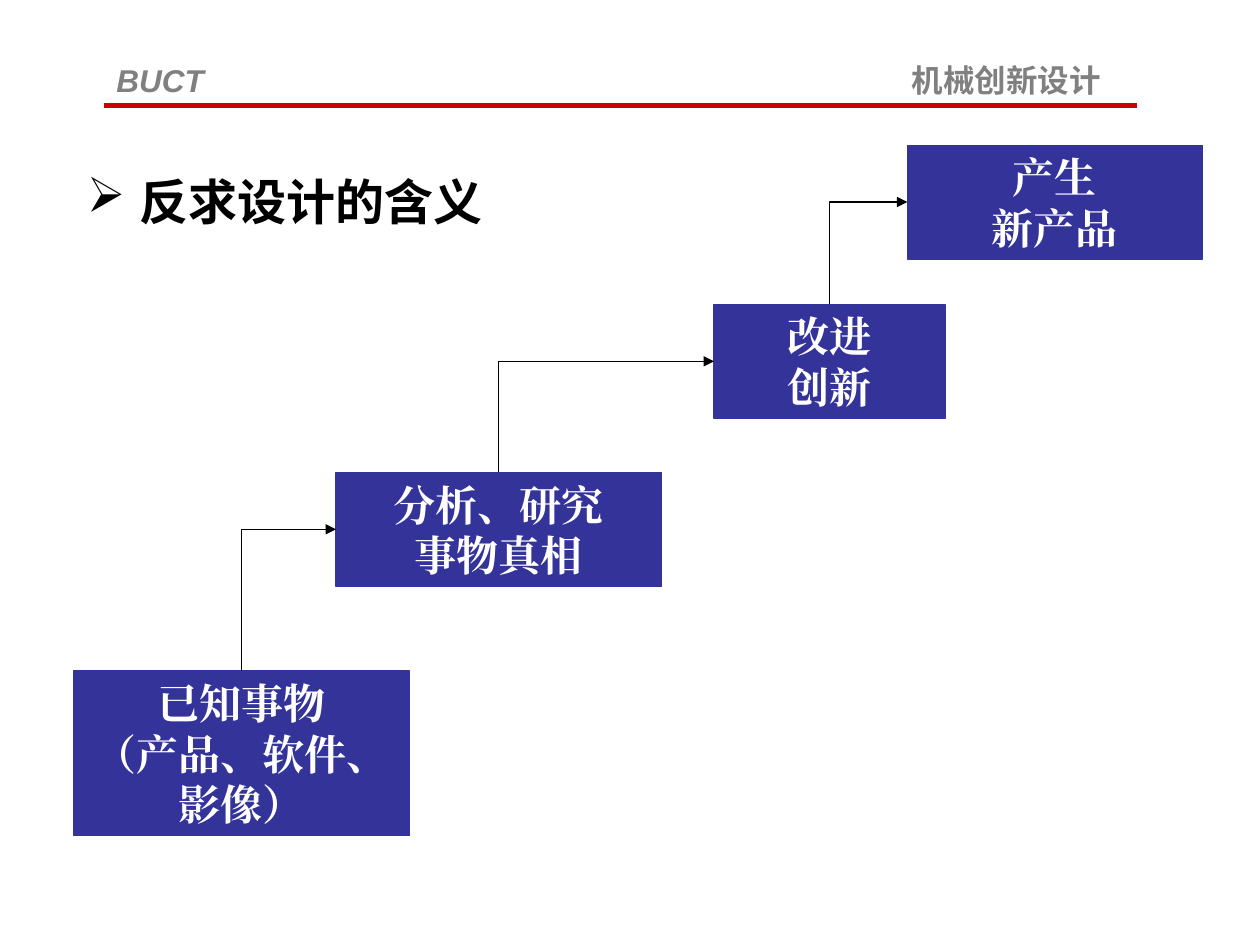
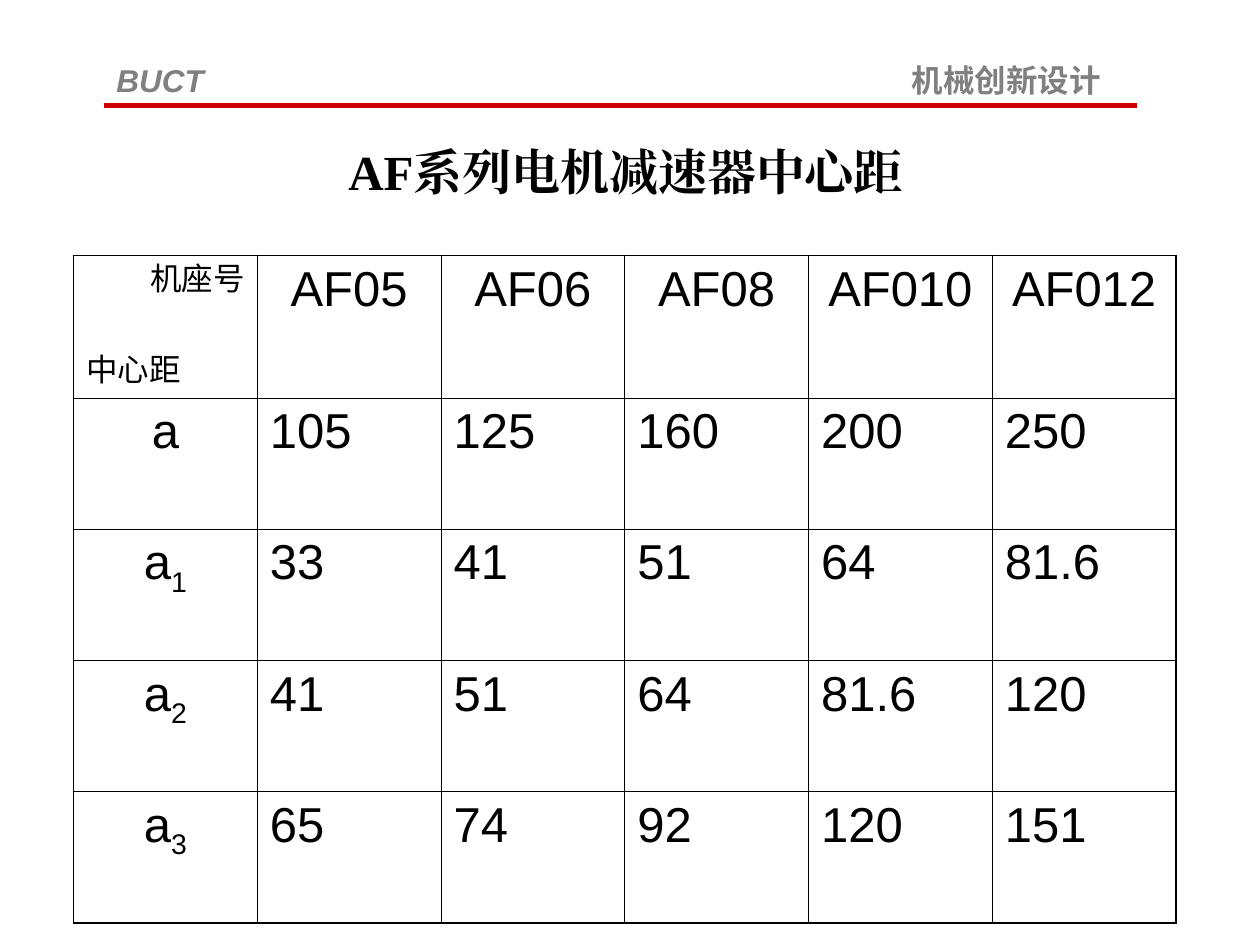
"""Build two slides on reverse design and reducer centre distances."""
from typing import NamedTuple

from lxml.etree import SubElement
from pptx import Presentation
from pptx.dml.color import RGBColor
from pptx.enum.shapes import MSO_CONNECTOR, MSO_SHAPE
from pptx.enum.text import MSO_ANCHOR, MSO_AUTO_SIZE, PP_ALIGN
from pptx.oxml.ns import qn
from pptx.util import Pt

BLACK = RGBColor(0, 0, 0)
WHITE = RGBColor(255, 255, 255)
NAVY = RGBColor(0x33, 0x33, 0x99)
RED = RGBColor(0xCC, 0, 0)
GREY = RGBColor(0x80, 0x80, 0x80)
SANS = "Arial"
SERIF = "Times New Roman"
LEFT, CENTER, RIGHT = PP_ALIGN.LEFT, PP_ALIGN.CENTER, PP_ALIGN.RIGHT
TOP, MIDDLE = MSO_ANCHOR.TOP, MSO_ANCHOR.MIDDLE
FIXED = MSO_AUTO_SIZE.NONE
RECT = MSO_SHAPE.RECTANGLE
STRAIGHT, ELBOW = MSO_CONNECTOR.STRAIGHT, MSO_CONNECTOR.ELBOW
TITLE_ONLY = 5
TAB_STOP = 454.5
THICK, THIN = 1.08, 0.45


class Step(NamedTuple):
    """One stage of the staircase, with lengths in points."""

    text: str
    left: float
    top: float
    width: float
    height: float


STEPS = [
    Step("已知事物\n（产品、软件、影像）", 42, 383.5, 192, 94),
    Step("分析、研究\n事物真相", 192, 270, 186, 65),
    Step("改进\n创新", 408, 174, 132, 65),
    Step("产生\n新产品", 518.5, 83, 168.5, 65),
]
MODELS = ["AF05", "AF06", "AF08", "AF010", "AF012"]
ROWS = [
    ("", ["105", "125", "160", "200", "250"]),
    ("1", ["33", "41", "51", "64", "81.6"]),
    ("2", ["41", "51", "64", "81.6", "120"]),
    ("3", ["65", "74", "92", "120", "151"]),
]


def style(para, face: str, size: float, color: RGBColor, bold: bool = False, align=LEFT) -> None:
    """Set the alignment and font of a paragraph."""
    para.alignment = align
    font = para.font
    font.name, font.size, font.bold = face, Pt(size), bold
    font.color.rgb = color
    SubElement(para._p.pPr.find(qn("a:defRPr")), qn("a:ea"), typeface=face)


def place(shape, left: float, top: float, width: float, height: float) -> None:
    """Move and size a shape in points."""
    shape.left, shape.top = Pt(left), Pt(top)
    shape.width, shape.height = Pt(width), Pt(height)


def frame(shape, anchor):
    """Fix the size of a text frame, wrap it and return it."""
    text = shape.text_frame
    text.word_wrap, text.auto_size = True, FIXED
    text.vertical_anchor = anchor
    return text


def draw_line(slide, kind, color: RGBColor, width: float, ends: tuple):
    """Draw a connector without a shadow."""
    line = slide.shapes.add_connector(kind, *map(Pt, ends))
    line.line.color.rgb = color
    line.line.width = Pt(width)
    SubElement(line._element.spPr, qn("a:effectLst"))
    return line


def add_head(slide) -> None:
    """Add the running head and its red rule."""
    draw_line(slide, STRAIGHT, RED, 3, (59.5, 60.25, 649.5, 60.25))
    box = slide.shapes.add_textbox(Pt(59.5), Pt(31.5), Pt(595.5), Pt(29))
    para = frame(box, TOP).paragraphs[0]
    tabs = SubElement(para._p.get_or_add_pPr(), qn("a:tabLst"))
    SubElement(tabs, qn("a:tab"), pos=str(Pt(TAB_STOP)), algn="l")
    style(para, SANS, 18, GREY, True)
    for text, slant in (("BUCT\t", True), ("机械创新设计", False)):
        run = para.add_run()
        run.text, run.font.italic = text, slant


def add_title(slide, text: str, face: str, box: tuple, align, bullet: str = "") -> None:
    """Fill the title placeholder, with a bullet if one is given."""
    title = slide.shapes.title
    place(title, *box)
    body = frame(title, TOP)
    body.text = text
    para = body.paragraphs[0]
    if bullet:
        props = para._p.get_or_add_pPr()
        props.set("marL", str(Pt(30)))
        props.set("indent", str(-Pt(30)))
        SubElement(props, qn("a:buChar"), char=bullet)
    style(para, face, 28, BLACK, True, align)


def add_step(slide, step: Step):
    """Draw one stage and return its box."""
    box = slide.shapes.add_shape(RECT, *map(Pt, step[1:]))
    box.shadow.inherit = False
    box.fill.solid()
    box.fill.fore_color.rgb = NAVY
    box.line.color.rgb = NAVY
    box.line.width = Pt(0.75)
    body = frame(box, MIDDLE)
    body.text = step.text
    for para in body.paragraphs:
        style(para, SERIF, 24, WHITE, True, CENTER)
    return box


def join(slide, low, high) -> None:
    """Lead an arrow up from one box and right into the next."""
    x, y = low.left + low.width // 2, low.top
    across, rise = high.left - x, y - high.top - high.height // 2
    arrow = draw_line(slide, ELBOW, BLACK, 0.75, (0, 0, 0, 0))
    arrow.begin_connect(low, 0)
    arrow.end_connect(high, 1)
    arrow.left, arrow.top = x + (across - rise) // 2, y - (rise + across) // 2
    arrow.width, arrow.height = rise, across
    props = arrow._element.spPr
    for key, value in (("rot", "5400000"), ("flipH", "1"), ("flipV", "1")):
        props.find(qn("a:xfrm")).set(key, value)
    props.find(qn("a:prstGeom")).set("prst", "bentConnector2")
    SubElement(props.find(qn("a:ln")), qn("a:tailEnd"), type="triangle")


def edge(cell, widths: dict[str, float]) -> None:
    """Rule the four sides of a cell and clear its fill."""
    props = cell._tc.get_or_add_tcPr()
    for side, width in widths.items():
        line = SubElement(props, qn(f"a:ln{side}"), w=str(Pt(width)))
        fill = SubElement(line, qn("a:solidFill"))
        SubElement(fill, qn("a:srgbClr"), val=str(BLACK))
    cell.fill.background()


def write(cell, text: str, align, sub: str = "") -> None:
    """Write a value in a cell, with a subscript if one is given."""
    para = cell.text_frame.paragraphs[0]
    style(para, SANS, 28, BLACK, align=align)
    para.add_run().text = text
    if sub:
        run = para.add_run()
        run.text = sub
        run._r.get_or_add_rPr().set("baseline", "-25000")


def add_grid(slide) -> None:
    """Add the table of centre distances."""
    rows, cols = len(ROWS) + 1, len(MODELS) + 1
    grid = slide.shapes.add_table(rows, cols, Pt(42), Pt(146), Pt(630), Pt(381.5)).table
    grid.first_row = grid.horz_banding = False
    for col in grid.columns:
        col.width = Pt(105)
    for i, row in enumerate(grid.rows):
        row.height = Pt(75 if i else 81.5)
        for j, cell in enumerate(row.cells):
            edge(cell, {
                "L": THIN if j else THICK,
                "R": THICK if j == cols - 1 else THIN,
                "T": THIN if i else THICK,
                "B": THICK if i == rows - 1 else THIN,
            })
    corner = grid.cell(0, 0)
    corner.margin_bottom = 0
    corner.text = "机座号\n中心距"
    first, last = corner.text_frame.paragraphs
    last.space_before = Pt(32)
    style(first, SANS, 18, BLACK, align=RIGHT)
    style(last, SANS, 18, BLACK)
    for j, model in enumerate(MODELS, 1):
        write(grid.cell(0, j), model, CENTER)
    for i, (sub, values) in enumerate(ROWS, 1):
        write(grid.cell(i, 0), "a", CENTER, sub)
        for j, value in enumerate(values, 1):
            write(grid.cell(i, j), value, LEFT)


def main() -> None:
    """Build and save the deck."""
    deck = Presentation()
    deck.slide_width, deck.slide_height = Pt(720), Pt(540)
    layout = deck.slide_layouts[TITLE_ONLY]

    stairs = deck.slides.add_slide(layout)
    boxes = [add_step(stairs, step) for step in STEPS]
    for low, high in zip(boxes, boxes[1:]):
        join(stairs, low, high)
    add_title(stairs, "反求设计的含义", SANS, (42.5, 94.5, 295, 41), LEFT, "➢")
    add_head(stairs)

    sizes = deck.slides.add_slide(layout)
    add_grid(sizes)
    add_title(sizes, "AF系列电机减速器中心距", SERIF, (93.5, 77, 528, 41), CENTER)
    add_head(sizes)
    deck.save("out.pptx")


if __name__ == "__main__":
    main()
